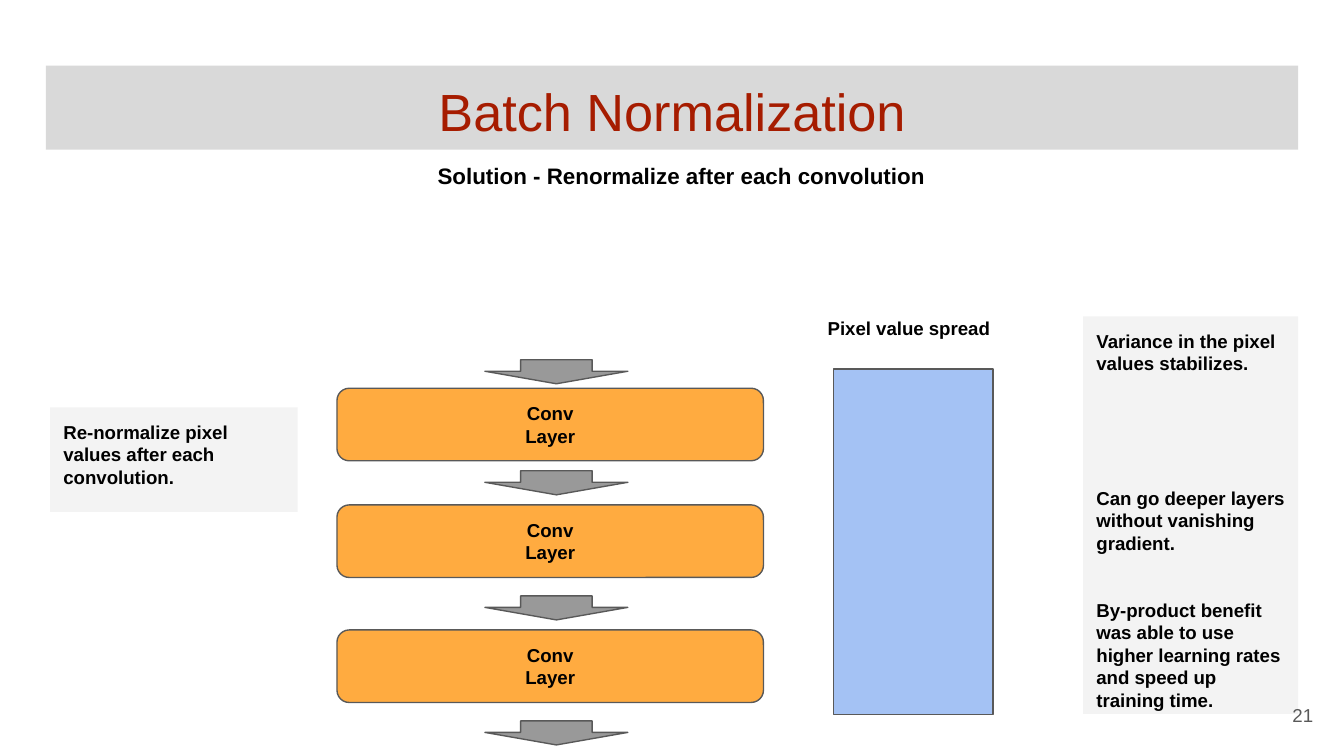
"""Build the Batch Normalization slide."""
from pptx import Presentation
from pptx.dml.color import RGBColor
from pptx.enum.shapes import MSO_SHAPE as SHAPE
from pptx.enum.text import MSO_ANCHOR as ANCHOR, MSO_AUTO_SIZE as FIT, PP_ALIGN as ALIGN
from pptx.util import Pt

THEME = {
    "font": "Arial", "line_width": 0.75, "inset": 7.2,
    "title": {"size": 28, "color": "A61C00", "bold": False},
    "subtitle": {"size": 12, "color": "000000", "bold": True},
    "label": {"size": 10, "color": "000000", "bold": True},
    "number": {"size": 10, "color": "595959", "bold": False},
    "band": "D9D9D9", "note": "F3F3F3", "layer": "FFAB40",
    "arrow": "999999", "spread": "A4C2F4", "outline": "595959",
}

TITLE = "Batch Normalization"
LAYER_LINES = [("Conv", 0), ("Layer", 0)]
BENEFITS = [
    ("Variance in the pixel values stabilizes.", 0),
    ("Can go deeper layers without vanishing gradient.", 60),
    ("By-product benefit was able to use higher learning rates and speed up training time.", 24),
]
NOTES = [
    ([("Re-normalize pixel values after each convolution.", 0)], (26.9, 218.3, 132.6, 56)),
    (BENEFITS, (580.3, 169.5, 115.2, 213)),
]
LABELS = [
    ("Pixel value spread", "label", (436.3, 162.7, 132.5, 20), ALIGN.LEFT, ANCHOR.TOP),
    ("Solution - Renormalize after each convolution", "subtitle",
     (227.3, 79.9, 317.5, 31), ALIGN.LEFT, ANCHOR.TOP),
    ("21", "number", (667.4, 367.4, 43.2, 31), ALIGN.RIGHT, ANCHOR.MIDDLE),
]
LAYER_TOPS = [208, 270.5, 337.5]
ARROW_TOPS = [192.7, 252.2, 319.2, 386.2]
LAYER_LEFT, LAYER_SIZE = 180.5, (228.5, 38.9)
ARROW_LEFT, ARROW_SIZE = 259.8, (76.6, 12.9)
TITLE_BOX = (24.6, 35.1, 670.8, 45.1)
SPREAD_BOX = (446.6, 197.7, 85.5, 185.2)


def rgb(name):
    return RGBColor.from_string(THEME.get(name, name))


def write(sp, lines, style, align=ALIGN.LEFT, anchor=ANCHOR.TOP):
    tf = sp.text_frame
    inset = Pt(THEME["inset"])
    frame = {"word_wrap": True, "auto_size": FIT.NONE, "vertical_anchor": anchor,
             "margin_left": inset, "margin_top": inset,
             "margin_right": inset, "margin_bottom": inset}
    for key, value in frame.items():
        setattr(tf, key, value)
    look = THEME[style]
    font = {"name": THEME["font"], "size": Pt(look["size"]), "bold": look["bold"]}
    for i, (text, gap) in enumerate(lines):
        p = tf.add_paragraph() if i else tf.paragraphs[0]
        p.alignment, p.space_before = align, Pt(gap)
        r = p.add_run()
        r.text = text
        for key, value in font.items():
            setattr(r.font, key, value)
        r.font.color.rgb = rgb(look["color"])


def add_shape(s, kind, box, fill, outlined=True, adjust=()):
    sp = s.shapes.add_shape(kind, *map(Pt, box))
    sp.shadow.inherit = False
    sp.fill.solid()
    sp.fill.fore_color.rgb = rgb(fill)
    if outlined:
        sp.line.color.rgb = rgb("outline")
        sp.line.width = Pt(THEME["line_width"])
    else:
        sp.line.fill.background()
    for i, value in enumerate(adjust):
        sp.adjustments[i] = value
    return sp


def main():
    prs = Presentation()
    prs.slide_width, prs.slide_height = Pt(720), Pt(405)
    s = prs.slides.add_slide(prs.slide_layouts[5])

    title = s.shapes.title
    for key, value in zip(("left", "top", "width", "height"), TITLE_BOX):
        setattr(title, key, Pt(value))
    title.fill.solid()
    title.fill.fore_color.rgb = rgb("band")
    write(title, [(TITLE, 0)], "title", ALIGN.CENTER)

    for top in LAYER_TOPS:
        sp = add_shape(s, SHAPE.ROUNDED_RECTANGLE, (LAYER_LEFT, top, *LAYER_SIZE),
                       "layer", adjust=(0.17,))
        write(sp, LAYER_LINES, "label", ALIGN.CENTER, ANCHOR.MIDDLE)
    for top in ARROW_TOPS:
        add_shape(s, SHAPE.DOWN_ARROW, (ARROW_LEFT, top, *ARROW_SIZE),
                  "arrow", adjust=(0.5, 0.52))
    for lines, box in NOTES:
        sp = add_shape(s, SHAPE.RECTANGLE, box, "note", outlined=False)
        write(sp, lines, "label")
    add_shape(s, SHAPE.RECTANGLE, SPREAD_BOX, "spread")
    for text, style, box, align, anchor in LABELS:
        write(s.shapes.add_textbox(*map(Pt, box)), [(text, 0)], style, align, anchor)

    prs.save("out.pptx")


if __name__ == "__main__":
    main()
